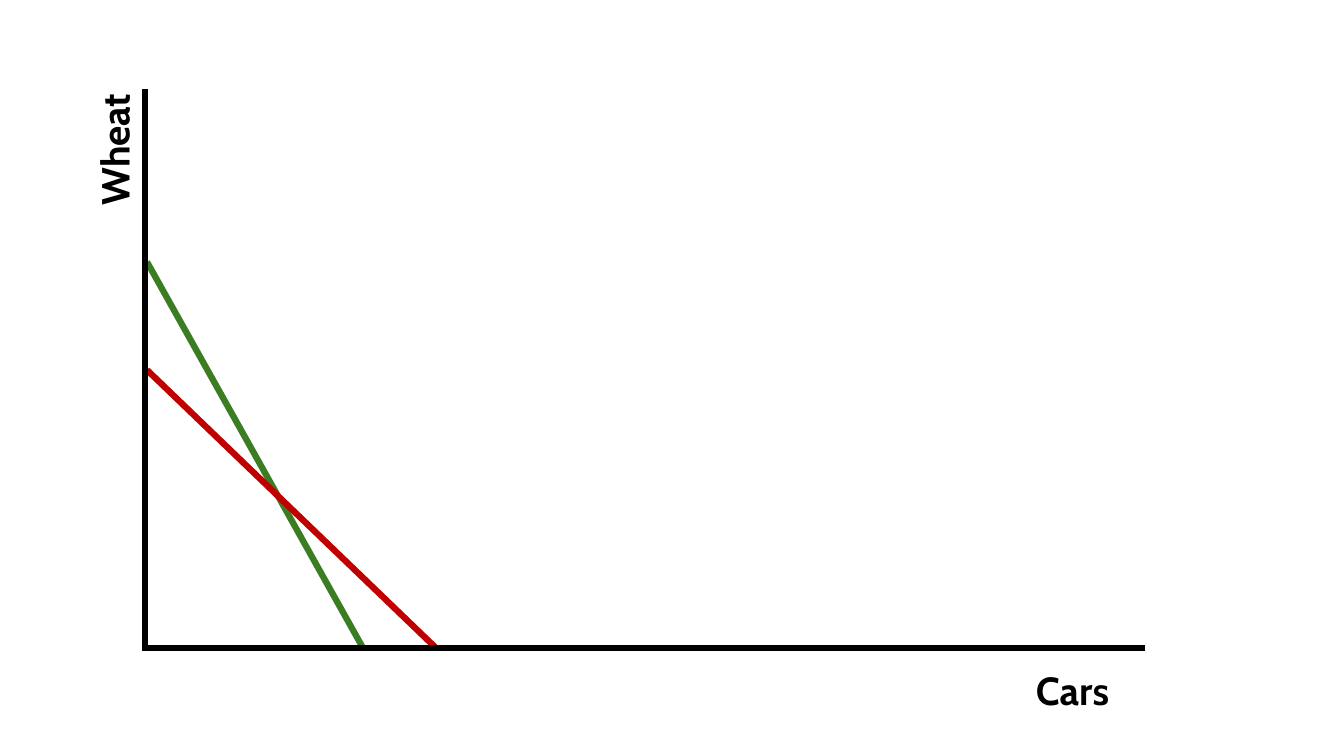
from lxml import etree
from pptx import Presentation
from pptx.dml.color import RGBColor
from pptx.enum.shapes import MSO_CONNECTOR
from pptx.enum.text import MSO_AUTO_SIZE
from pptx.oxml.ns import qn
from pptx.util import Emu, Pt

STRAIGHT = MSO_CONNECTOR.STRAIGHT
FIT_SHAPE = MSO_AUTO_SIZE.SHAPE_TO_FIT_TEXT

SLIDE_SIZE = (1344, 756)
COLOURS = {"axis": "000000", "green": "3B7D23", "red": "C00000"}
LINE_WIDTH = Pt(4.5)
LABEL_FORMAT = {"name": "Cabin", "size": Pt(28), "bold": True}

# Start x, start y, end x, end y in px
FRONTIERS = [
    ("green", (147, 262, 363, 648)),
    ("red", (147, 370, 436, 648)),
]
AXES = [
    ("axis", (145, 89, 145, 651)),
    ("axis", (1145, 648, 143, 648)),
]
# Text, (left, top, width, height) in px, rotation
LABELS = [
    ("Wheat", (43, 116, 142, 57), 270),
    ("Cars", (1026, 661, 119, 57), 0),
]


def px(length):
    return Emu(round(length * 914400 / 100.8))


def add_line(shapes, colour, ends):
    line = shapes.add_connector(STRAIGHT, *map(px, ends))
    line.line.color.rgb = RGBColor.from_string(COLOURS[colour])
    line.line.width = LINE_WIDTH
    etree.SubElement(line.element.spPr, qn("a:effectLst"))


def add_label(shapes, text, bounds, rotation):
    box = shapes.add_textbox(*map(px, bounds))
    box.rotation = rotation
    frame = box.text_frame
    frame.word_wrap = True
    frame.auto_size = FIT_SHAPE
    span = frame.paragraphs[0].add_run()
    span.text = text
    for name, value in LABEL_FORMAT.items():
        setattr(span.font, name, value)
    span.font.color.rgb = RGBColor.from_string(COLOURS["axis"])


def main():
    deck = Presentation()
    deck.slide_width, deck.slide_height = map(px, SLIDE_SIZE)
    page = deck.slides.add_slide(deck.slide_layouts[6])
    for colour, ends in FRONTIERS:
        add_line(page.shapes, colour, ends)
    axes = page.shapes.add_group_shape()
    for colour, ends in AXES:
        add_line(axes.shapes, colour, ends)
    for label in LABELS:
        add_label(page.shapes, *label)
    deck.save("out.pptx")


if __name__ == "__main__":
    main()
